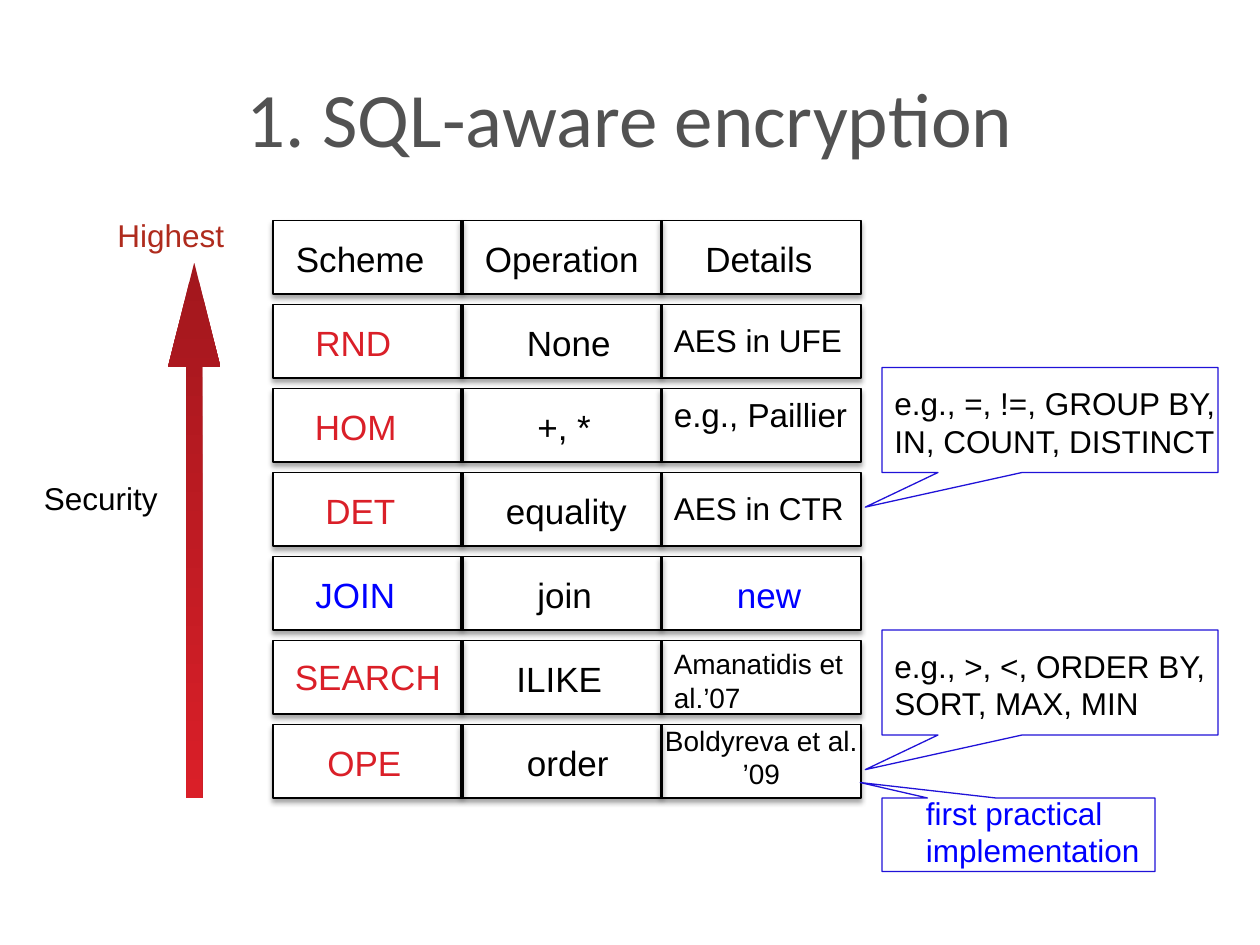
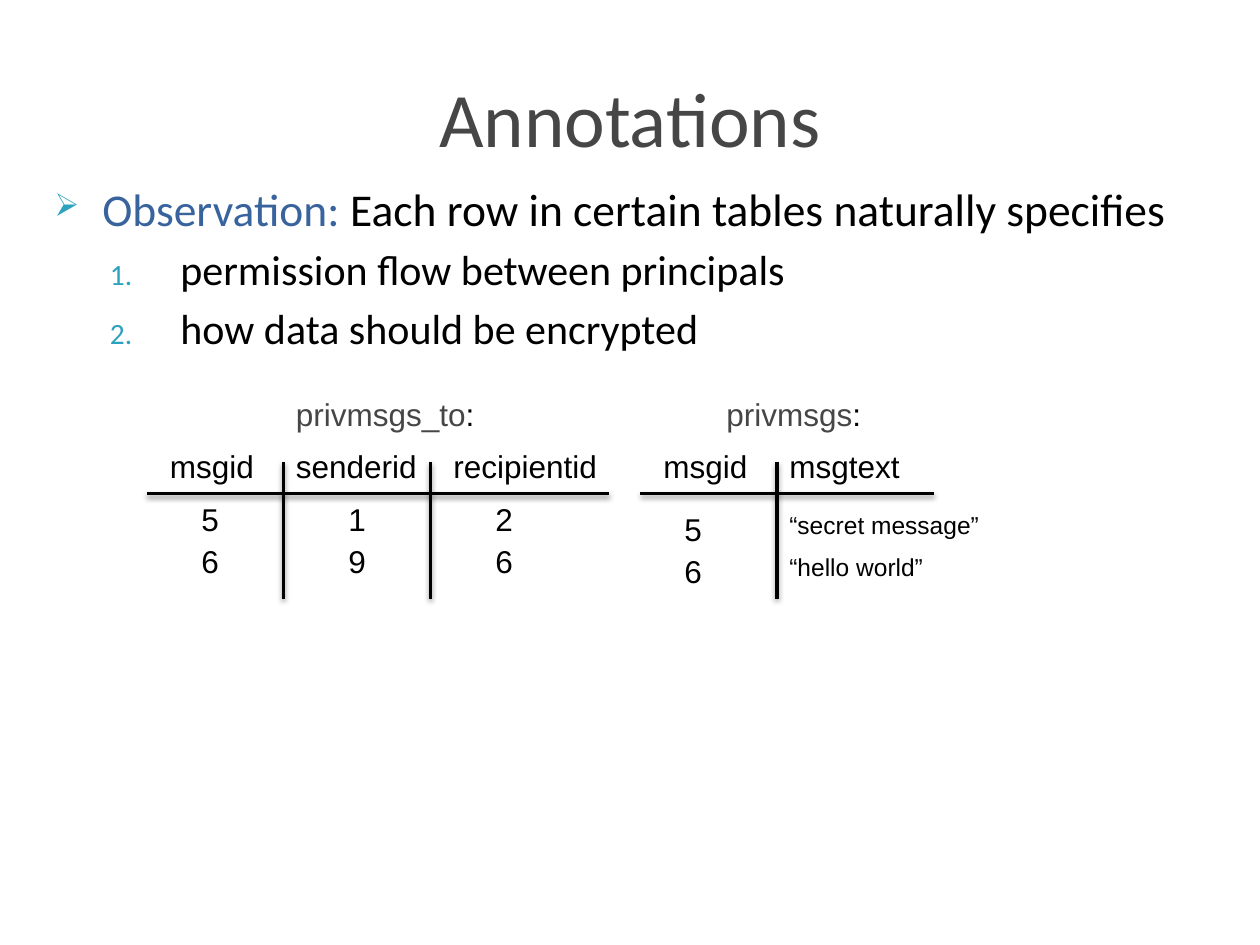
from dataclasses import dataclass

from lxml.etree import SubElement
from pptx import Presentation
from pptx.dml.color import RGBColor
from pptx.enum.shapes import MSO_CONNECTOR, MSO_SHAPE
from pptx.enum.text import MSO_ANCHOR, PP_ALIGN
from pptx.oxml.ns import qn
from pptx.util import Emu, Inches, Pt

WIDTH, HEIGHT = Inches(10), Inches(7.5)
COLUMNS, ROWS = 120, 90  # square grid, twelve units to the inch

BLACK, WHITE, GREY = "000000", "FFFFFF", "464646"
RED, DARK_RED, BLUE = "DA1F28", "AF2B1D", "0000FF"
CALLOUT_BLUE, HEADING_BLUE, BULLET_TEAL = "2012D8", "39639D", "2DA2BF"
BODY_FONT, TITLE_FONT = "Arial", "Calibri"


@dataclass(frozen=True)
class Label:
    """Text at a grid position; each line becomes a paragraph."""
    text: str
    x: float
    y: float
    width: float = 23
    size: float = 18
    color: str = BLACK
    align: PP_ALIGN = PP_ALIGN.LEFT


@dataclass(frozen=True)
class Cell:
    """Text in a scheme row; drop is its distance below the row's top."""
    text: str
    x: float
    color: str = BLACK
    size: float = 20
    drop: float = 1
    width: float = 23
    align: PP_ALIGN = PP_ALIGN.LEFT


@dataclass(frozen=True)
class Callout:
    y: float
    width: float
    height: float
    tip: tuple[float, float]
    label: Label


@dataclass(frozen=True)
class ValueColumn:
    header: str
    header_x: float
    values: tuple[str, ...]
    values_x: float
    size: float = 18


@dataclass(frozen=True)
class DataTable:
    name: str
    name_x: float
    left: float
    right: float
    dividers: tuple[float, ...]
    values_y: float
    columns: tuple[ValueColumn, ...]


SCHEME_ROWS = (
    (Cell("Scheme", 27), Cell("Operation", 45), Cell("Details", 66)),
    (Cell("RND", 28.85, RED), Cell("None", 49), Cell("AES in UFE", 63, size=18)),
    (Cell("HOM", 28.8, RED), Cell("+, *", 50),
     Cell("e.g., Paillier", 63, size=19, drop=0)),
    (Cell("DET", 29.8, RED), Cell("equality", 47), Cell("AES in CTR", 63, size=18)),
    (Cell("JOIN", 28.85, BLUE), Cell("join", 50), Cell("new", 69, BLUE)),
    (Cell("SEARCH", 26.9, RED, drop=0.8), Cell("ILIKE", 48),
     Cell("Amanatidis et al.’07", 63, size=16, drop=0, width=25)),
    (Cell("OPE", 30, RED), Cell("order", 49),
     Cell("Boldyreva et al.\n’09", 61, size=16, drop=-0.7, align=PP_ALIGN.CENTER)),
)
ROW_LEFT, ROW_TOP, ROW_WIDTH, ROW_HEIGHT, ROW_PITCH = 26, 21, 56, 7, 8
ROW_DIVIDERS = (44, 63)

CALLOUTS = (
    Callout(35, 32, 10, (-0.55, 0.83),
            Label("e.g., =, !=, GROUP BY, IN, COUNT, DISTINCT", 84, 36, 36)),
    Callout(60, 32, 10, (-0.55, 0.83),
            Label("e.g., >, <, ORDER BY, SORT, MAX, MIN", 84, 61, 36)),
    Callout(76, 26, 7, (-0.58, -0.71),
            Label("first practical implementation", 87, 75, 32, color=BLUE)),
)

DATA_TABLES = (
    DataTable("privmsgs_to", 27, 14, 58, (27, 41), 47, (
        ValueColumn("msgid", 15, ("5", "6"), 18),
        ValueColumn("senderid", 27, ("1", "9"), 32),
        ValueColumn("recipientid", 42, ("2", "6"), 46))),
    DataTable("privmsgs", 68, 61, 89, (74,), 48, (
        ValueColumn("msgid", 62, ("5", "6"), 64),
        ValueColumn("msgtext", 74, ("“secret message”", "“hello world”"), 74, 14))),
)


def rgb(color: str) -> RGBColor:
    return RGBColor.from_string(color)


def grid(*units: float) -> list[Emu]:
    """Turn alternating column and row counts into lengths."""
    steps = (WIDTH / COLUMNS, HEIGHT / ROWS)
    return [Emu(round(unit * steps[i % 2])) for i, unit in enumerate(units)]


def set_effects(shape, shadow_alpha: int, distance: float) -> None:
    effects = SubElement(shape._element.spPr, qn("a:effectLst"))
    outer = SubElement(effects, qn("a:outerShdw"), blurRad=str(Pt(3.1)),
                       dist=str(Pt(distance)), dir="5400000", rotWithShape="0")
    color = SubElement(outer, qn("a:srgbClr"), val=BLACK)
    SubElement(color, qn("a:alpha"), val=str(shadow_alpha * 1000))


def add_run(paragraph, text: str, size: float, color: str, font: str = BODY_FONT) -> None:
    run = paragraph.add_run()
    run.text = text
    for name, value in {"name": font, "size": Pt(size)}.items():
        setattr(run.font, name, value)
    run.font.color.rgb = rgb(color)


def add_frame(slide, x: float, y: float, width: float, height: float):
    frame = slide.shapes.add_textbox(*grid(x, y, width, height)).text_frame
    frame.word_wrap = True
    return frame


def add_label(slide, label: Label) -> None:
    lines = label.text.split("\n")
    frame = add_frame(slide, label.x, label.y, label.width, 5)
    for index, line in enumerate(lines):
        paragraph = frame.add_paragraph() if index else frame.paragraphs[0]
        paragraph.alignment = label.align
        add_run(paragraph, line, label.size, label.color)


def add_title(slide, text: str, color: str) -> None:
    frame = add_frame(slide, 6, 3.6, 108, 15)
    frame.vertical_anchor = MSO_ANCHOR.MIDDLE
    frame.paragraphs[0].alignment = PP_ALIGN.CENTER
    add_run(frame.paragraphs[0], text, 44, color, TITLE_FONT)


def add_rule(slide, x1: float, y1: float, x2: float, y2: float) -> None:
    rule = slide.shapes.add_connector(MSO_CONNECTOR.STRAIGHT, *grid(x1, y1, x2, y2))
    rule.line.color.rgb = rgb(BLACK)
    rule.line.width = Pt(2)
    set_effects(rule, 38, 1.6)


def add_outlined(slide, kind: MSO_SHAPE, box: tuple, line_color: str):
    shape = slide.shapes.add_shape(kind, *grid(*box))
    shape.line.color.rgb = rgb(line_color)
    shape.line.width = Pt(0.75)
    return shape


def add_scheme_row(slide, top: float, cells: tuple[Cell, ...]) -> None:
    box = (ROW_LEFT, top, ROW_WIDTH, ROW_HEIGHT)
    band = add_outlined(slide, MSO_SHAPE.RECTANGLE, box, BLACK)
    band.fill.solid()
    band.fill.fore_color.rgb = rgb(WHITE)
    set_effects(band, 35, 1.8)
    for x in ROW_DIVIDERS:
        add_rule(slide, x, top, x, top + ROW_HEIGHT)
    for cell in cells:
        add_label(slide, Label(cell.text, cell.x, top + cell.drop, cell.width,
                               cell.size, cell.color, cell.align))


def add_callout(slide, callout: Callout) -> None:
    box = (84, callout.y, callout.width, callout.height)
    shape = add_outlined(slide, MSO_SHAPE.RECTANGULAR_CALLOUT, box, CALLOUT_BLUE)
    shape.fill.background()
    shape.shadow.inherit = False
    for index, offset in enumerate(callout.tip):
        shape.adjustments[index] = offset
    add_label(slide, callout.label)


def add_security_arrow(slide) -> None:
    arrow = slide.shapes.add_shape(MSO_SHAPE.UP_ARROW, *grid(16, 25, 5, 51))
    arrow.adjustments[0], arrow.adjustments[1] = 0.3, 1.99
    arrow.shadow.inherit = False
    arrow.line.fill.background()
    arrow.fill.gradient()
    arrow.fill.gradient_angle = 270
    for stop in arrow.fill.gradient_stops:
        stop.color.rgb = rgb(RED)
    top_color = next(arrow._element.spPr.iter(qn("a:srgbClr")))
    SubElement(top_color, qn("a:shade"), val="51000")
    add_label(slide, Label("Highest", 10, 20, 14, color=DARK_RED))
    add_label(slide, Label("Security", 3, 45, 17))


def add_bullet(paragraph, tag: str, indent: tuple[float, float], **marker: str) -> None:
    properties = paragraph._p.get_or_add_pPr()
    for name, length in zip(("marL", "indent"), indent):
        properties.set(name, str(Inches(length)))
    color = SubElement(properties, qn("a:buClr"))
    SubElement(color, qn("a:srgbClr"), val=BULLET_TEAL)
    SubElement(properties, qn("a:buSzPct"), val="70000")
    SubElement(properties, qn(tag), **marker)


def add_observation(slide) -> None:
    frame = add_frame(slide, 4, 16.7, 116, 17)
    heading = frame.paragraphs[0]
    add_bullet(heading, "a:buChar", (0.38, -0.38), char="➢")
    add_run(heading, "Observation:", 26, HEADING_BLUE, TITLE_FONT)
    add_run(heading, " Each row in certain tables naturally specifies", 26, BLACK, TITLE_FONT)
    for text in ("permission flow between principals", "how data should be encrypted"):
        item = frame.add_paragraph()
        item.level = 1
        item.space_before = Pt(4.5)
        add_bullet(item, "a:buAutoNum", (1, -0.56), type="arabicPeriod")
        add_run(item, text, 24, BLACK, TITLE_FONT)


def add_data_table(slide, table: DataTable) -> None:
    add_rule(slide, table.left, 47, table.right, 47)
    for x in table.dividers:
        add_rule(slide, x, 44, x, 57)
    caption = add_frame(slide, table.name_x, 37, 24, 5).paragraphs[0]
    add_run(caption, table.name, 18, GREY)
    add_run(caption, ":", 18, BLACK)
    for column in table.columns:
        add_label(slide, Label(column.header, column.header_x, 42, 18))
        for index, value in enumerate(column.values):
            add_label(slide, Label(value, column.values_x, table.values_y + 4 * index,
                                   size=column.size))


def build_encryption_slide(slide) -> None:
    add_title(slide, "1. SQL-aware encryption", "525252")
    add_security_arrow(slide)
    for index, cells in enumerate(SCHEME_ROWS):
        add_scheme_row(slide, ROW_TOP + ROW_PITCH * index, cells)
    for callout in CALLOUTS:
        add_callout(slide, callout)


def build_annotations_slide(slide) -> None:
    add_title(slide, "Annotations", GREY)
    add_observation(slide)
    for table in DATA_TABLES:
        add_data_table(slide, table)


def main() -> None:
    presentation = Presentation()
    presentation.slide_width, presentation.slide_height = WIDTH, HEIGHT
    for build in (build_encryption_slide, build_annotations_slide):
        build(presentation.slides.add_slide(presentation.slide_layouts[6]))
    presentation.save("out.pptx")


if __name__ == "__main__":
    main()
